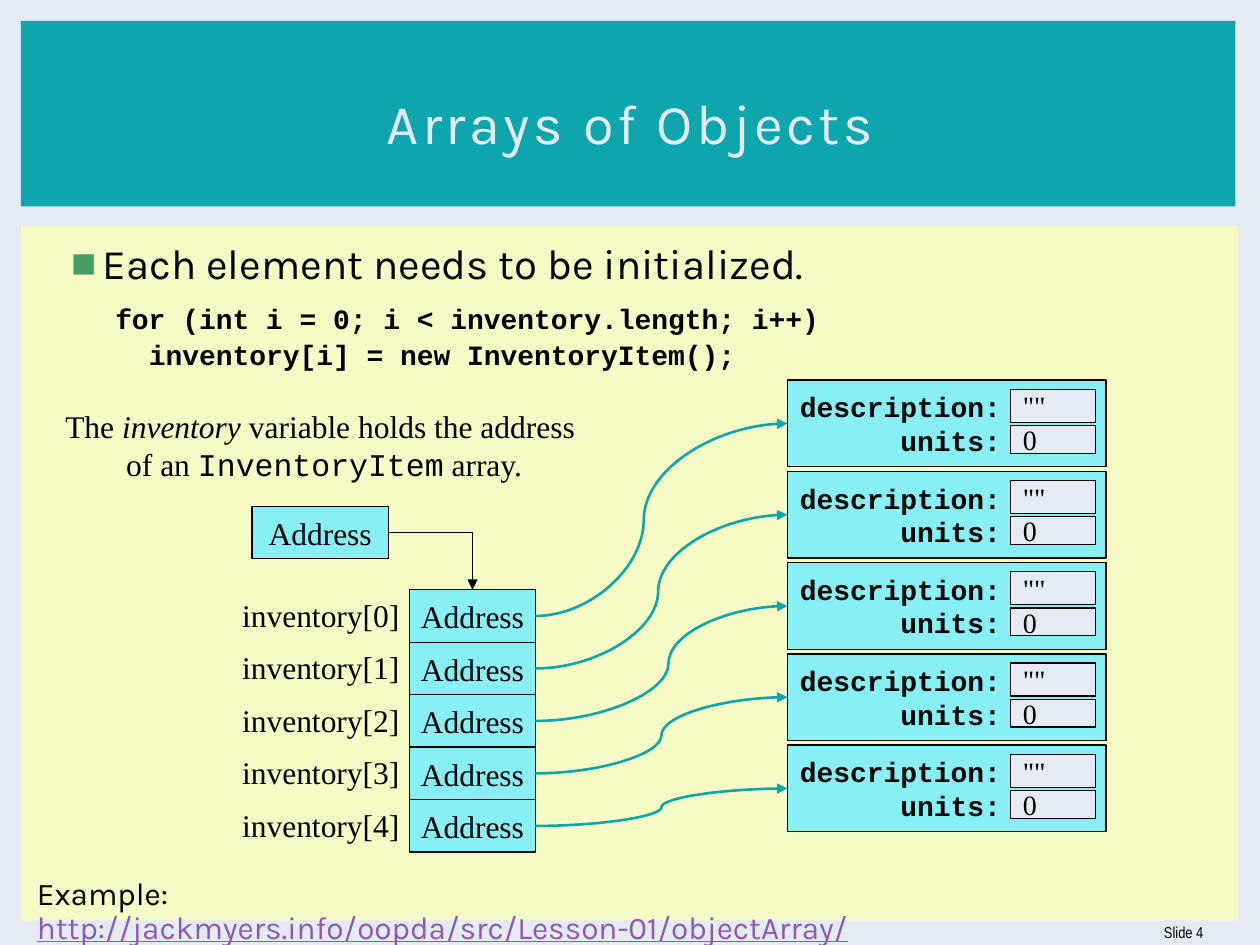
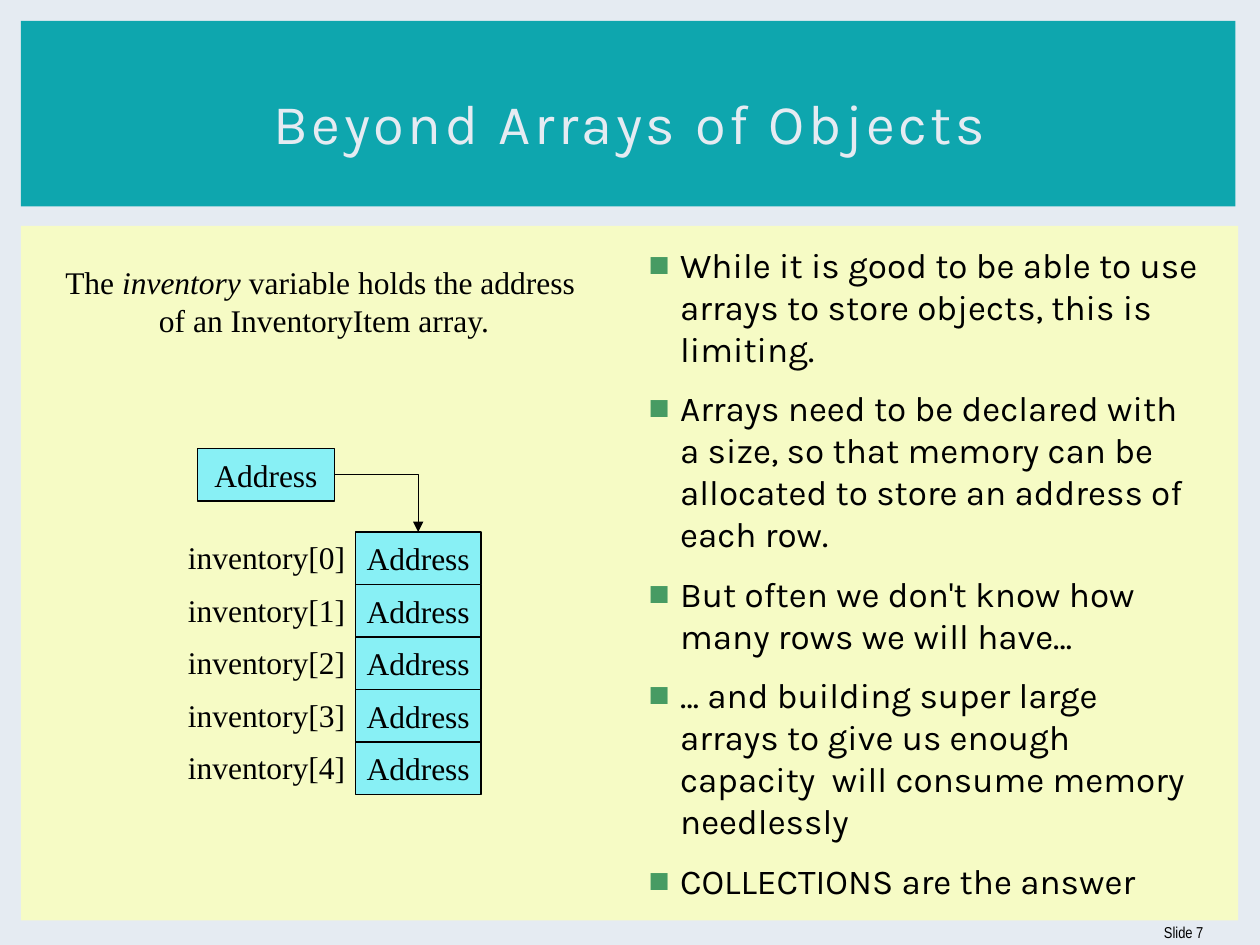
from lxml import etree
from pptx import Presentation
from pptx.dml.color import RGBColor
from pptx.enum.shapes import MSO_CONNECTOR, MSO_SHAPE
from pptx.enum.text import MSO_ANCHOR, PP_ALIGN
from pptx.oxml.ns import qn
from pptx.util import Pt

RECT = MSO_SHAPE.RECTANGLE
ELBOW, CURVE = MSO_CONNECTOR.ELBOW, MSO_CONNECTOR.CURVE
LEFT, CENTER, RIGHT = PP_ALIGN.LEFT, PP_ALIGN.CENTER, PP_ALIGN.RIGHT
TOP, MIDDLE = MSO_ANCHOR.TOP, MSO_ANCHOR.MIDDLE
SITE_TOP, SITE_LEFT, SITE_RIGHT = 0, 1, 3

COLORS = {
    "background": "E5EBF2",
    "panel": "F6FBC5",
    "band": "0EA6AE",
    "cell": "88F0F5",
    "bullet": "479B63",
    "link": "8E58B6",
    "ink": "000000",
}
SANS, SERIF, MONO, NARROW = "Karla", "Times New Roman", "Courier New", "Arial Narrow"
ROWS = 5
ROW_HEIGHT = 30


def rgb(name):
    return RGBColor.from_string(COLORS[name])


# ---- Text and shape helpers ----
def add_run(paragraph, text, font, size, color="ink", bold=False, italic=False, underline=False):
    run = paragraph.add_run()
    run.text = text
    run.font.name, run.font.size = font, Pt(size)
    run.font.bold, run.font.italic, run.font.underline = bold, italic, underline
    run.font.color.rgb = rgb(color)
    return run


def setup_frame(frame, anchor=TOP, wrap=True, insets=(7.2, 3.6, 7.2, 3.6)):
    frame.word_wrap, frame.vertical_anchor = wrap, anchor
    left, top, right, bottom = map(Pt, insets)
    frame.margin_left, frame.margin_top = left, top
    frame.margin_right, frame.margin_bottom = right, bottom


def next_paragraph(frame, align=LEFT):
    first = frame.paragraphs[0]
    paragraph = frame.add_paragraph() if first.runs else first
    paragraph.alignment = align
    return paragraph


def add_text_box(slide, box, **setup):
    frame = slide.shapes.add_textbox(*map(Pt, box)).text_frame
    setup_frame(frame, **setup)
    return frame


def add_rect(slide, box, fill, outlined=True):
    rect = slide.shapes.add_shape(RECT, *map(Pt, box))
    rect.shadow.inherit = False
    rect.fill.solid()
    rect.fill.fore_color.rgb = rgb(fill)
    if outlined:
        rect.line.color.rgb = rgb("ink")
        rect.line.width = Pt(0.75)
    else:
        rect.line.fill.background()
    return rect


def add_arrow(slide, kind, source, target, target_site, color, width, bend=None):
    arrow = slide.shapes.add_connector(kind, 0, 0, 0, 0)
    arrow.begin_connect(source, SITE_RIGHT)
    arrow.end_connect(target, target_site)
    arrow.line.color.rgb = rgb(color)
    arrow.line.width = Pt(width)
    properties = arrow._element.spPr
    etree.SubElement(properties.find(qn("a:ln")), qn("a:tailEnd"), type="triangle")
    etree.SubElement(properties, qn("a:effectLst"))
    geometry = properties.find(qn("a:prstGeom"))
    if kind == ELBOW:
        geometry.set("prst", "bentConnector2")
    else:
        guides = geometry.find(qn("a:avLst"))
        etree.SubElement(guides, qn("a:gd"), name="adj1", fmla=f"val {round(bend * 100000)}")


def indent(paragraph, left, hanging):
    properties = paragraph._p.get_or_add_pPr()
    properties.set("marL", str(Pt(left)))
    properties.set("indent", str(Pt(hanging)))
    return properties


def add_bullet(frame, text, size, line_spacing=1.0):
    paragraph = next_paragraph(frame)
    paragraph.line_spacing = line_spacing
    paragraph.space_before, paragraph.space_after = Pt(size * 0.2), Pt(6)
    properties = indent(paragraph, 21.6, -18)
    color = etree.SubElement(properties, qn("a:buClr"))
    etree.SubElement(color, qn("a:srgbClr"), val=COLORS["bullet"])
    etree.SubElement(properties, qn("a:buFont"), typeface="Arial")
    etree.SubElement(properties, qn("a:buChar"), char="■")
    add_run(paragraph, text, SANS, size)


# ---- Shared slide frame: panel, title band, title, slide number ----
def add_framed_slide(deck, heading, number):
    slide = deck.slides.add_slide(deck.slide_layouts[5])
    slide.background.fill.solid()
    slide.background.fill.fore_color.rgb = rgb("background")
    add_rect(slide, (12, 129, 695.5, 397), "panel", outlined=False)
    add_rect(slide, (12, 12, 694, 106), "band", outlined=False)

    title = slide.shapes.title
    slide.shapes._spTree.append(title._element)  # bring in front of the band
    title.left, title.top, title.width, title.height = map(Pt, (30, 28, 660, 83))
    setup_frame(title.text_frame, anchor=MIDDLE)
    run = add_run(next_paragraph(title.text_frame, CENTER), heading, SANS, 32, "background")
    run.font._element.set("spc", "200")

    footer = add_text_box(slide, (648.7, 522, 46, 21.6), anchor=MIDDLE)
    add_run(next_paragraph(footer, RIGHT), f"Slide {number}", NARROW, 9)
    return slide


# ---- Regions ----
def add_caption(slide, top, class_font):
    caption = add_text_box(slide, (30, top, 306, 50.4), wrap=False)
    first = next_paragraph(caption, CENTER)
    add_run(first, "The ", SERIF, 18)
    add_run(first, "inventory", SERIF, 18, italic=True)
    add_run(first, " variable holds the address", SERIF, 18)
    second = next_paragraph(caption, CENTER)
    add_run(second, " of an ", SERIF, 18)
    add_run(second, "InventoryItem", class_font, 18)
    add_run(second, " array.", SERIF, 18)


def add_address(slide, box):
    cell = add_rect(slide, box, "cell")
    setup_frame(cell.text_frame, MIDDLE, wrap=False, insets=(0, 3.6, 0, 3.6))
    add_run(next_paragraph(cell.text_frame, CENTER), "Address", SERIF, 18)
    return cell


def add_array(slide, left, top):
    """Draw the variable and the array it refers to; return the array cells."""
    variable = add_address(slide, (left, top, 78, ROW_HEIGHT))
    cells = []
    for row in range(ROWS):
        row_top = top + 47.7 + row * ROW_HEIGHT
        cells.append(add_address(slide, (left + 90, row_top, 72, ROW_HEIGHT)))
        label = add_text_box(slide, (left - 18, row_top, 109.4, 29))
        add_run(next_paragraph(label, RIGHT), f"inventory[{row}]", SERIF, 18)
    add_arrow(slide, ELBOW, variable, cells[0], SITE_TOP, "ink", 0.75)
    return cells


def add_item(slide, left, top):
    item = add_rect(slide, (left, top, 182, 49.6), "cell")
    setup_frame(item.text_frame, MIDDLE, insets=(0, 0, 60, 0))
    for field in ("description:", "units:"):
        add_run(next_paragraph(item.text_frame, RIGHT), field, MONO, 16, bold=True)
    for value, offset, height in (('""', 5.2, 19), ("0", 26, 15.8)):
        slot = add_rect(slide, (left + 127.4, top + offset, 48.6, height), "background")
        setup_frame(slot.text_frame, MIDDLE, wrap=False, insets=(7.2, 0, 7.2, 0))
        add_run(next_paragraph(slot.text_frame), value, SERIF, 16)
    return item


def add_code(frame, text, depth=0):
    paragraph = next_paragraph(frame)
    paragraph.line_spacing, paragraph.space_before = 0.9, Pt(3.6)
    etree.SubElement(indent(paragraph, 28.8 + depth * 19.2, 0), qn("a:buNone"))
    add_run(paragraph, text, MONO, 16, bold=True)


def add_example(slide, left, top):
    frame = add_text_box(slide, (left, top, 540.7, 26.6), wrap=False)
    paragraph = next_paragraph(frame)
    paragraph.line_spacing = 0.9
    add_run(paragraph, "Example: ", SANS, 18)
    paragraph.add_line_break()
    add_run(paragraph, "http://jackmyers.info/oopda/src/Lesson-01/objectArray/",
            SANS, 18, "link", underline=True)


# ---- Slides ----
def build_arrays_slide(deck):
    slide = add_framed_slide(deck, "Arrays of Objects", 4)
    body = add_text_box(slide, (30, 135.4, 661.7, 347))
    add_bullet(body, "Each element needs to be initialized.", 24, 0.9)
    add_code(body, "for (int i = 0; i < inventory.length; i++)")
    add_code(body, "inventory[i] = new InventoryItem();", depth=1)
    add_caption(slide, 229, MONO)
    cells = add_array(slide, 144, 289.3)
    items = [add_item(slide, 450, 217.2 + row * 52.15) for row in range(ROWS)]
    for cell, item, bend in zip(cells, items, (0.43, 0.487, 0.528, 0.5, 0.5)):
        add_arrow(slide, CURVE, cell, item, SITE_LEFT, "band", 1.5, bend)
    add_example(slide, 14, 498.2)


def build_beyond_slide(deck):
    slide = add_framed_slide(deck, "Beyond Arrays of Objects", 7)
    body = add_text_box(slide, (360, 135.4, 332, 347))
    for point in (
        "While it is good to be able to use arrays to store objects, this is limiting.",
        "Arrays need to be declared with a size, so that memory can be allocated "
        "to store an address of each row.",
        "But often we don't know how many rows we will have…",
        "… and building super large arrays to give us enough capacity  will "
        "consume memory needlessly",
        "COLLECTIONS are the answer",
    ):
        add_bullet(body, point, 20)
    add_caption(slide, 147, SERIF)
    add_array(slide, 113, 256.3)


def main():
    deck = Presentation()
    deck.slide_width, deck.slide_height = Pt(720), Pt(540)
    build_arrays_slide(deck)
    build_beyond_slide(deck)
    deck.save("out.pptx")


if __name__ == "__main__":
    main()
